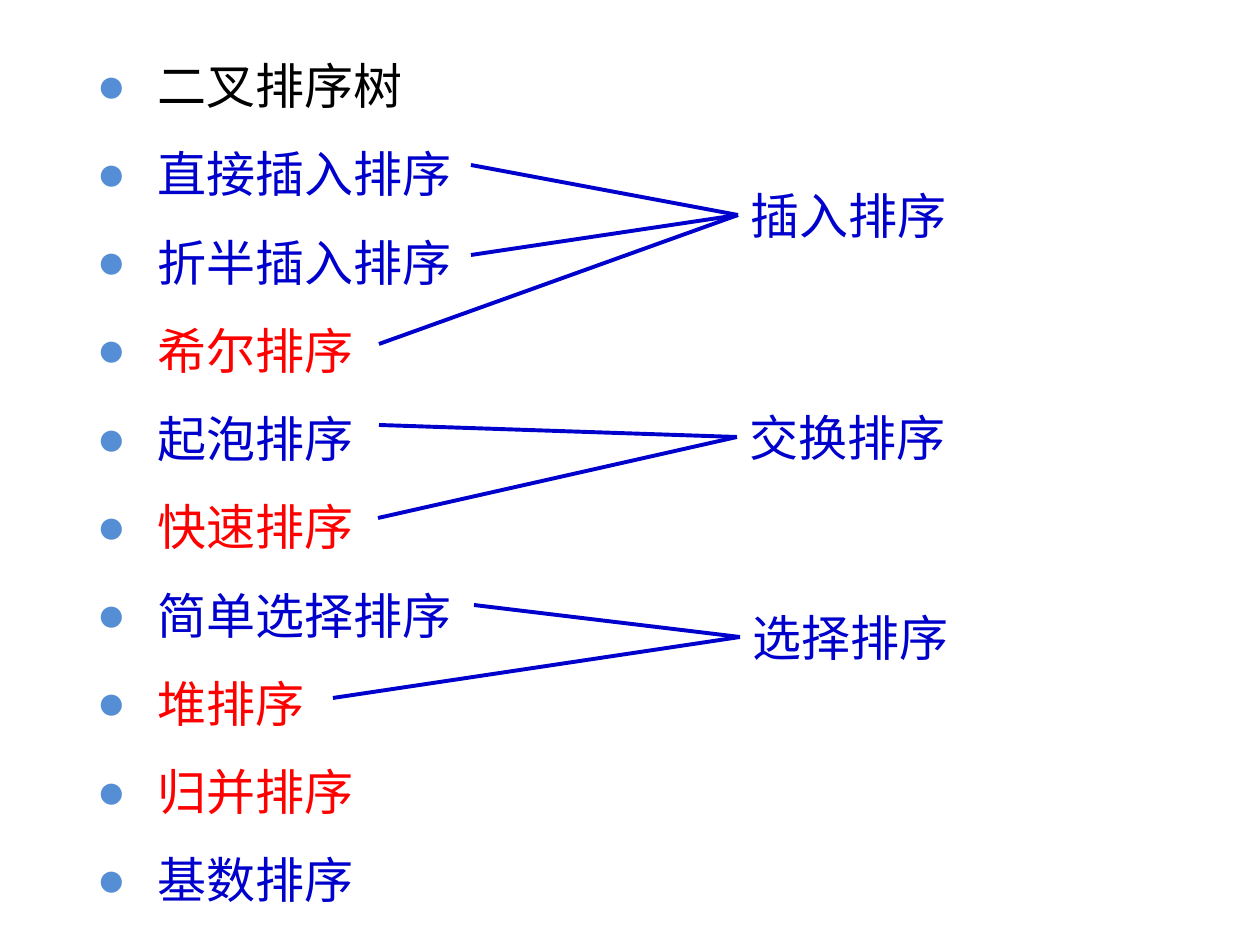
import pptx
import pptx.dml.color
import pptx.enum.shapes
import pptx.enum.text
import pptx.oxml.ns
import pptx.util
from lxml import etree

qn = pptx.oxml.ns.qn
BLACK = pptx.dml.color.RGBColor(0x00, 0x00, 0x00)
BLUE = pptx.dml.color.RGBColor(0x00, 0x00, 0xCC)
RED = pptx.dml.color.RGBColor(0xFF, 0x00, 0x00)
BULLET_BLUE = pptx.dml.color.RGBColor(0x55, 0x8E, 0xD5)

ALGORITHMS = [
    ("二叉排序树", BLACK),
    ("直接插入排序", BLUE),
    ("折半插入排序", BLUE),
    ("希尔排序", RED),
    ("起泡排序", BLUE),
    ("快速排序", RED),
    ("简单选择排序", BLUE),
    ("堆排序", RED),
    ("归并排序", RED),
    ("基数排序", BLUE),
]
CATEGORIES = [
    ("插入排序", (738, 179), [(471, 165), (471, 255), (379, 344)]),
    ("交换排序", (737, 401), [(379, 425), (378, 518)]),
    ("选择排序", (740, 601), [(474, 605), (333, 698)]),
]


class SlideBuilder:
    """Holds the style and the current slide, and adds elements measured in px."""

    font = "Noto Sans CJK SC"
    size = pptx.util.Pt(28)
    line_width = pptx.util.Pt(2.25)
    hanging = 61
    left_side = 1

    def __init__(self, presentation):
        layout = presentation.slide_layouts[1]
        self.slide = presentation.slides.add_slide(layout)
        title = self.slide.shapes.title
        title.element.getparent().remove(title.element)

    @staticmethod
    def emu(px):
        return pptx.util.Emu(round(px * 914400 / 126))

    def format_paragraph(self, paragraph, color):
        for run in paragraph.runs:
            run.font.size = self.size
            run.font.color.rgb = color
            run.font.name = self.font
            east_asian = etree.SubElement(run.font._element, qn("a:ea"))
            east_asian.set("typeface", self.font)

    def add_bullet(self, paragraph):
        properties = paragraph._p.get_or_add_pPr()
        properties.set("marL", str(self.emu(self.hanging)))
        properties.set("indent", str(-self.emu(self.hanging)))
        bullet_color = etree.SubElement(properties, qn("a:buClr"))
        etree.SubElement(bullet_color, qn("a:srgbClr")).set("val", str(BULLET_BLUE))
        etree.SubElement(properties, qn("a:buChar")).set("char", "●")

    def fit(self, text_frame):
        text_frame.word_wrap = True
        text_frame.auto_size = pptx.enum.text.MSO_AUTO_SIZE.SHAPE_TO_FIT_TEXT

    def bullet_list(self, items, left, top, width, height):
        body = self.slide.placeholders[1]
        body.left, body.top = self.emu(left), self.emu(top)
        body.width, body.height = self.emu(width), self.emu(height)
        text_frame = body.text_frame
        text_frame.text = "\n".join(text for text, color in items)
        self.fit(text_frame)
        for paragraph, (text, color) in zip(text_frame.paragraphs, items):
            paragraph.line_spacing = 1.5
            paragraph.space_before = pptx.util.Pt(0)
            self.add_bullet(paragraph)
            self.format_paragraph(paragraph, color)

    def label(self, text, left, top, width=348, height=72):
        box = self.slide.shapes.add_textbox(
            self.emu(left), self.emu(top), self.emu(width), self.emu(height))
        box.text_frame.text = text
        self.fit(box.text_frame)
        self.format_paragraph(box.text_frame.paragraphs[0], BLUE)
        return box

    def line_to(self, box, x, y):
        connector = self.slide.shapes.add_connector(
            pptx.enum.shapes.MSO_CONNECTOR.STRAIGHT,
            self.emu(x), self.emu(y), box.left, box.top)
        connector.end_connect(box, self.left_side)
        connector.line.color.rgb = BLUE
        connector.line.width = self.line_width
        etree.SubElement(connector._element.spPr, qn("a:effectLst"))


def main():
    presentation = pptx.Presentation()
    presentation.slide_width = SlideBuilder.emu(1260)
    presentation.slide_height = SlideBuilder.emu(945)
    builder = SlideBuilder(presentation)
    builder.bullet_list(ALGORITHMS, 84, 20, 1111, 890)
    for text, position, starts in CATEGORIES:
        box = builder.label(text, *position)
        for start in starts:
            builder.line_to(box, *start)
    presentation.save("out.pptx")


if __name__ == "__main__":
    main()
